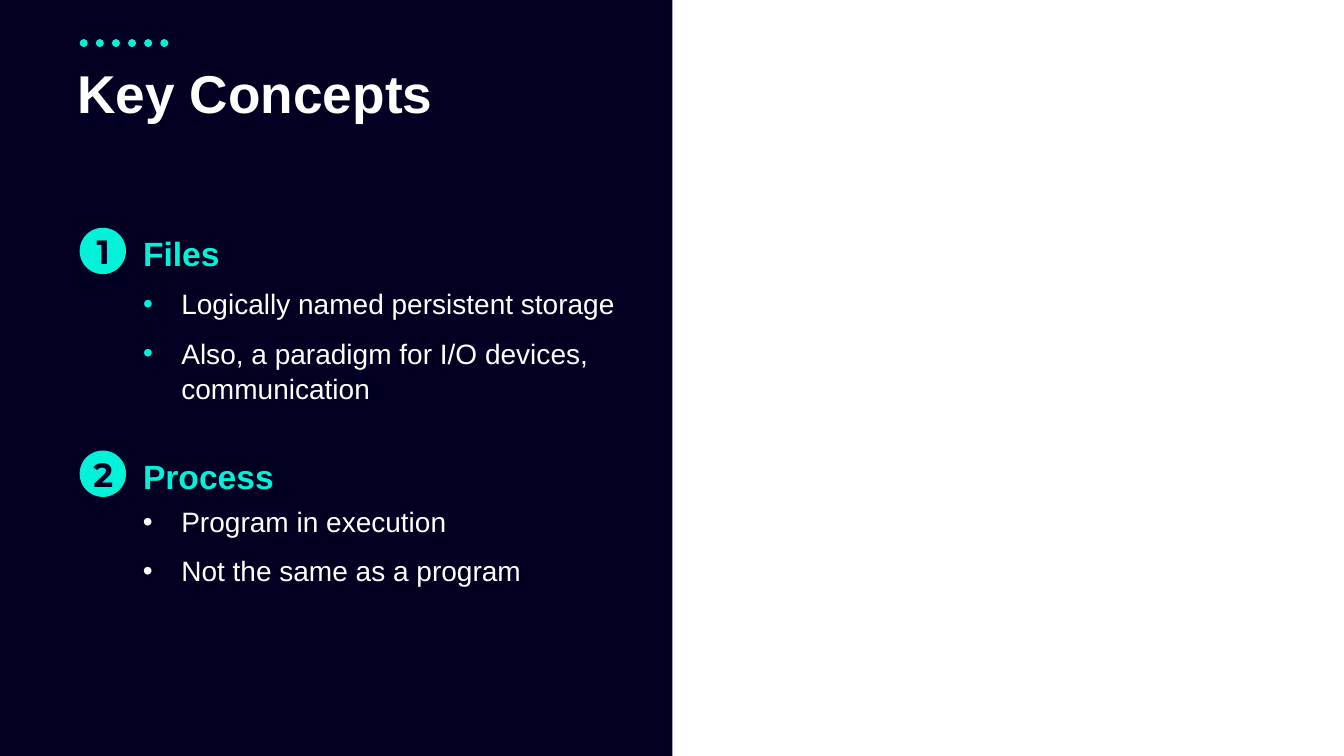
from lxml import etree
from pptx import Presentation
from pptx.dml.color import RGBColor
from pptx.enum.dml import MSO_LINE
from pptx.enum.shapes import MSO_CONNECTOR, MSO_SHAPE
from pptx.enum.text import MSO_ANCHOR, PP_ALIGN
from pptx.oxml.ns import qn
from pptx.util import Inches, Pt

NAVY = RGBColor(0x01, 0x00, 0x22)
AQUA = RGBColor(0x00, 0xF3, 0xD8)
WHITE = RGBColor(0xFF, 0xFF, 0xFF)

OVAL = MSO_SHAPE.OVAL
RECTANGLE = MSO_SHAPE.RECTANGLE
STRAIGHT = MSO_CONNECTOR.STRAIGHT
ROUND_DOT = MSO_LINE.ROUND_DOT
TOP = MSO_ANCHOR.TOP
BOTTOM = MSO_ANCHOR.BOTTOM
CENTER = PP_ALIGN.CENTER

CONCEPTS = [
    ("1", "Files", 2.24, 2.78, 5.01, 1.25, AQUA,
     ["Logically named persistent storage",
      "Also, a paradigm for I/O devices, communication"]),
    ("2", "Process", 4.45, 4.94, 4.57, 0.91, WHITE,
     ["Program in execution", "Not the same as a program"]),
]


def add_filled_shape(slide, kind, left, top, width, height, color):
    shape = slide.shapes.add_shape(
        kind, Inches(left), Inches(top), Inches(width), Inches(height))
    shape.shadow.inherit = False
    shape.fill.solid()
    shape.fill.fore_color.rgb = color
    shape.line.fill.background()


def add_dotted_accent(slide):
    accent = slide.shapes.add_connector(
        STRAIGHT, Inches(0.83), Inches(0.43), Inches(1.67), Inches(0.43))
    accent.line.color.rgb = AQUA
    accent.line.width = Pt(5.75)
    accent.line.dash_style = ROUND_DOT
    accent.line._get_or_add_ln().set("cap", "rnd")
    etree.SubElement(accent._element.spPr, qn("a:effectLst"))


def add_text(slide, left, top, width, height, lines, size, color,
             bold=False, font="Arial", anchor=TOP, spacing=1.05,
             align=None, wrap=True, bullet_color=None):
    box = slide.shapes.add_textbox(
        Inches(left), Inches(top), Inches(width), Inches(height))
    frame = box.text_frame
    frame.word_wrap = wrap
    frame.vertical_anchor = anchor
    frame.text = "\n".join(lines)
    for index, paragraph in enumerate(frame.paragraphs):
        paragraph.line_spacing = spacing
        paragraph.alignment = align
        if index:
            paragraph.space_before = Pt(10)
        if bullet_color is not None:
            add_bullet(paragraph, bullet_color)
        for run in paragraph.runs:
            run.font.name = font
            run.font.size = Pt(size)
            run.font.bold = bold
            run.font.color.rgb = color


def add_bullet(paragraph, color):
    properties = paragraph._p.get_or_add_pPr()
    properties.set("marL", str(Inches(0.38)))
    properties.set("indent", str(-Inches(0.38)))
    bullet_color = etree.SubElement(properties, qn("a:buClr"))
    etree.SubElement(bullet_color, qn("a:srgbClr"), val=str(color))
    etree.SubElement(properties, qn("a:buFont"), typeface="Arial")
    etree.SubElement(properties, qn("a:buChar"), char="•")


def add_concept(slide, number, heading, top, points_top, points_width,
                points_height, bullet_color, points):
    add_text(slide, 1.32, top, 5.01, 0.5, [heading], 24, AQUA, bold=True)
    add_filled_shape(slide, OVAL, 0.79, top + 0.02, 0.46, 0.46, AQUA)
    add_text(slide, 0.81, top, 0.43, 0.5, [number], 24, NAVY, bold=True,
             font="Montserrat", spacing=1, align=CENTER, wrap=False)
    add_text(slide, 1.32, points_top, points_width, points_height, points,
             20, WHITE, bullet_color=bullet_color)


def main():
    presentation = Presentation()
    presentation.slide_width = Inches(13.33)
    presentation.slide_height = Inches(7.5)
    slide = presentation.slides.add_slide(presentation.slide_layouts[6])
    add_filled_shape(slide, RECTANGLE, 0, 0, 6.67, 7.5, NAVY)
    add_dotted_accent(slide)
    add_text(slide, 0.67, 0.61, 5.33, 0.68, ["Key Concepts"], 38, WHITE,
             bold=True, anchor=BOTTOM, spacing=0.9)
    for concept in CONCEPTS:
        add_concept(slide, *concept)
    presentation.save("out.pptx")


if __name__ == "__main__":
    main()
